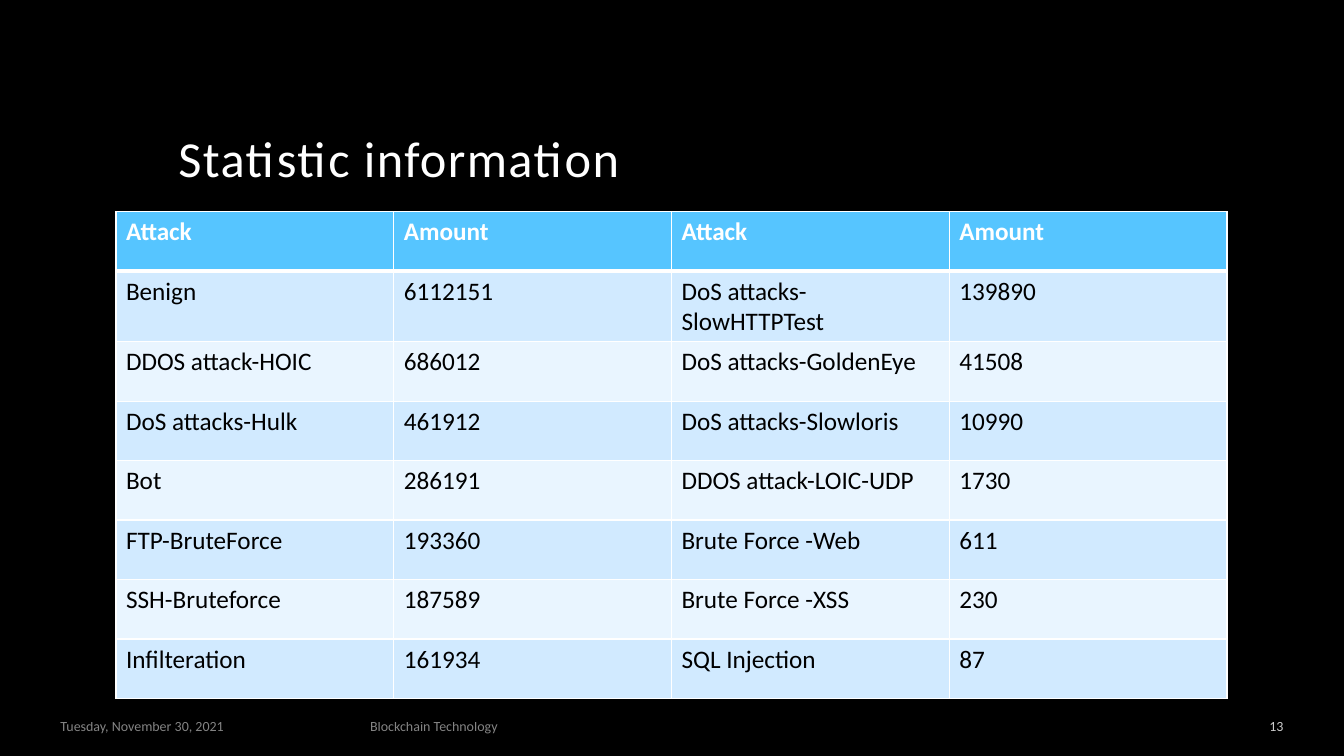
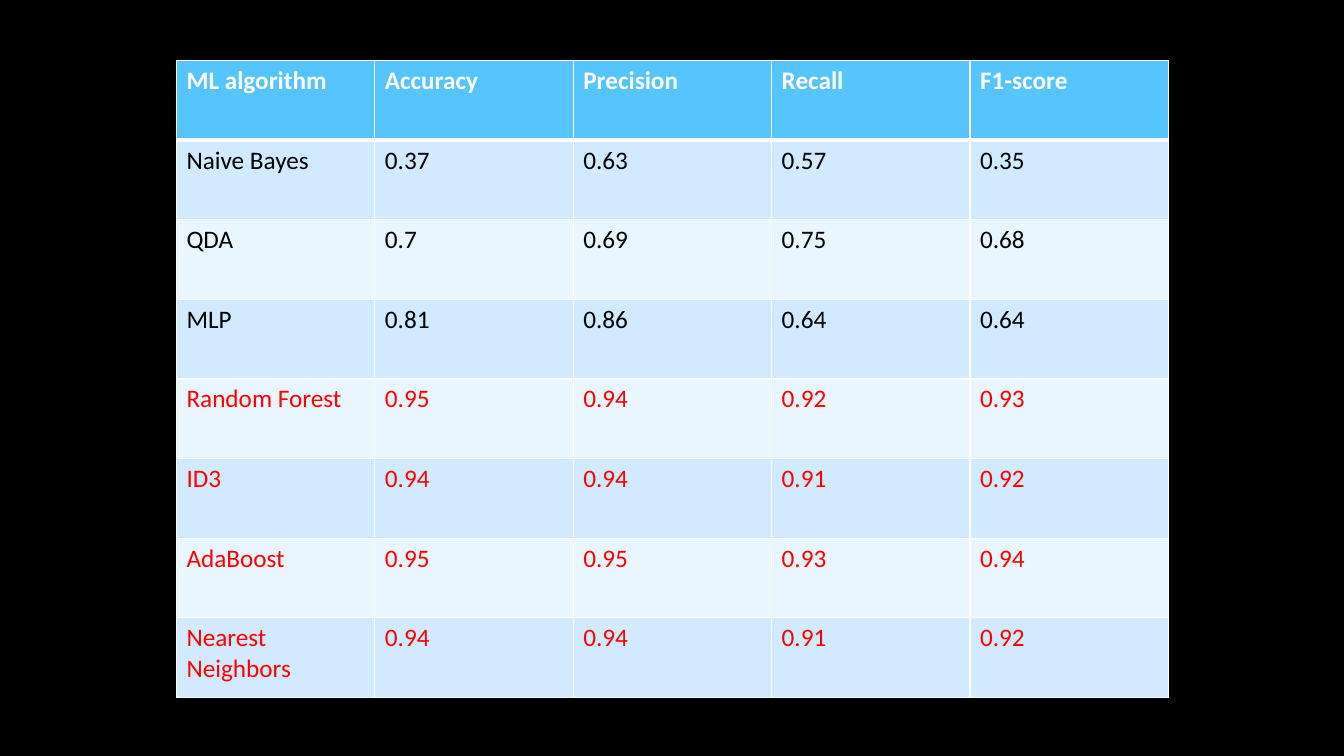
"""Builds two slides of tables on attack counts and classifier scores."""
import pptx
import pptx.dml.color
import pptx.enum.text
import pptx.util
from lxml import etree
from pptx.oxml import ns

Inches = pptx.util.Inches
Pt = pptx.util.Pt
RGB = pptx.dml.color.RGBColor
Align = pptx.enum.text.PP_ALIGN
Anchor = pptx.enum.text.MSO_ANCHOR

BLACK = RGB(0x00, 0x00, 0x00)
WHITE = RGB(0xFF, 0xFF, 0xFF)
GRAY = RGB(0xA6, 0xA6, 0xA6)
RED = RGB(0xFF, 0x00, 0x00)
HEAD = RGB(0x56, 0xC5, 0xFF)
BANDS = (RGB(0xD1, 0xEA, 0xFF), RGB(0xE9, 0xF5, 0xFF))

ATTACKS = (
    ("Attack", "Amount", "Attack", "Amount"),
    ("Benign", "6112151", "DoS attacks-SlowHTTPTest", "139890"),
    ("DDOS attack-HOIC", "686012", "DoS attacks-GoldenEye", "41508"),
    ("DoS attacks-Hulk", "461912", "DoS attacks-Slowloris", "10990"),
    ("Bot", "286191", "DDOS attack-LOIC-UDP", "1730"),
    ("FTP-BruteForce", "193360", "Brute Force -Web", "611"),
    ("SSH-Bruteforce", "187589", "Brute Force -XSS", "230"),
    ("Infilteration", "161934", "SQL Injection", "87"),
)
SCORES = (
    ("ML algorithm", "Accuracy", "Precision", "Recall", "F1-score"),
    ("Naive Bayes", "0.37", "0.63", "0.57", "0.35"),
    ("QDA", "0.7", "0.69", "0.75", "0.68"),
    ("MLP", "0.81", "0.86", "0.64", "0.64"),
    ("Random Forest", "0.95", "0.94", "0.92", "0.93"),
    ("ID3", "0.94", "0.94", "0.91", "0.92"),
    ("AdaBoost", "0.95", "0.95", "0.93", "0.94"),
    ("Nearest Neighbors", "0.94", "0.94", "0.91", "0.92"),
)


class Deck:
    def __init__(self):
        self.prs = pptx.Presentation()
        self.prs.slide_width = Inches(13.33)
        self.prs.slide_height = Inches(7.5)
        fill = self.prs.slide_master.background.fill
        fill.solid()
        fill.fore_color.rgb = BLACK
        self.slide = None

    def add(self, layout):
        self.slide = self.prs.slides.add_slide(self.prs.slide_layouts[layout])

    def style(self, para, size, color, bold=False):
        font = para.font
        font.name = "Calibri"
        font.size = Pt(size)
        font.bold = bold
        font.color.rgb = color
        return font

    def place(self, shape, left, top, width, height):
        shape.left, shape.top = Inches(left), Inches(top)
        shape.width, shape.height = Inches(width), Inches(height)

    def title(self, text):
        shape = self.slide.shapes.title
        self.place(shape, 1.67, 0.42, 10, 1.5)
        frame = shape.text_frame
        frame.text = text
        frame.vertical_anchor = Anchor.BOTTOM
        para = frame.paragraphs[0]
        para.alignment = Align.LEFT
        para.line_spacing = 0.9
        self.style(para, 36, WHITE)._rPr.set("spc", "100")

    def footer(self, text, left, width, color=GRAY, align=Align.LEFT):
        box = self.slide.shapes.add_textbox(
            Inches(left), Inches(7.12), Inches(width), Inches(0.17))
        frame = box.text_frame
        frame.word_wrap = True
        frame.vertical_anchor = Anchor.MIDDLE
        frame.margin_left = frame.margin_right = 0
        frame.margin_top = frame.margin_bottom = 0
        frame.text = text
        para = frame.paragraphs[0]
        para.alignment = align
        font = self.style(para, 10, color)
        tint = font._rPr.find(".//" + ns.qn("a:srgbClr"))
        etree.SubElement(tint, ns.qn("a:alpha"), val="80000")

    def border(self, cell, top, bottom):
        props = cell._tc.get_or_add_tcPr()
        for side, width in zip("LRTB", (1, 1, top, bottom)):
            line = etree.SubElement(
                props, ns.qn("a:ln" + side), w=str(Pt(width)))
            fill = etree.SubElement(line, ns.qn("a:solidFill"))
            etree.SubElement(fill, ns.qn("a:srgbClr"), val=str(WHITE))

    def table(self, data, left, top, width, step, marked=()):
        rows, cols = len(data), len(data[0])
        table = self.slide.shapes.add_table(
            rows, cols, Inches(left), Inches(top),
            Inches(width), Inches(step * rows)).table
        for i, row in enumerate(data):
            table.rows[i].height = Inches(step)
            ink = WHITE if i == 0 else RED if row[0] in marked else BLACK
            for j, text in enumerate(row):
                cell = table.cell(i, j)
                cell.text = text
                self.style(cell.text_frame.paragraphs[0], 18, ink, i == 0)
                self.border(cell, 3 if i == 1 else 1, 3 if i == 0 else 1)
                cell.fill.solid()
                cell.fill.fore_color.rgb = BANDS[(i - 1) % 2] if i else HEAD


def main():
    deck = Deck()
    deck.add(5)
    deck.title("Statistic information")
    deck.footer("13", 10.88, 1.85, WHITE, Align.RIGHT)
    deck.footer("Tuesday, November 30, 2021", 0.6, 2.88)
    deck.footer("Blockchain Technology", 3.67, 6.98)
    deck.table(ATTACKS, 1.15, 2.1, 11.02, 0.59)

    deck.add(6)
    best = ("Random Forest", "ID3", "AdaBoost", "Nearest Neighbors")
    deck.table(SCORES, 1.75, 0.6, 9.84, 0.79, best)
    deck.prs.save("out.pptx")


if __name__ == "__main__":
    main()
